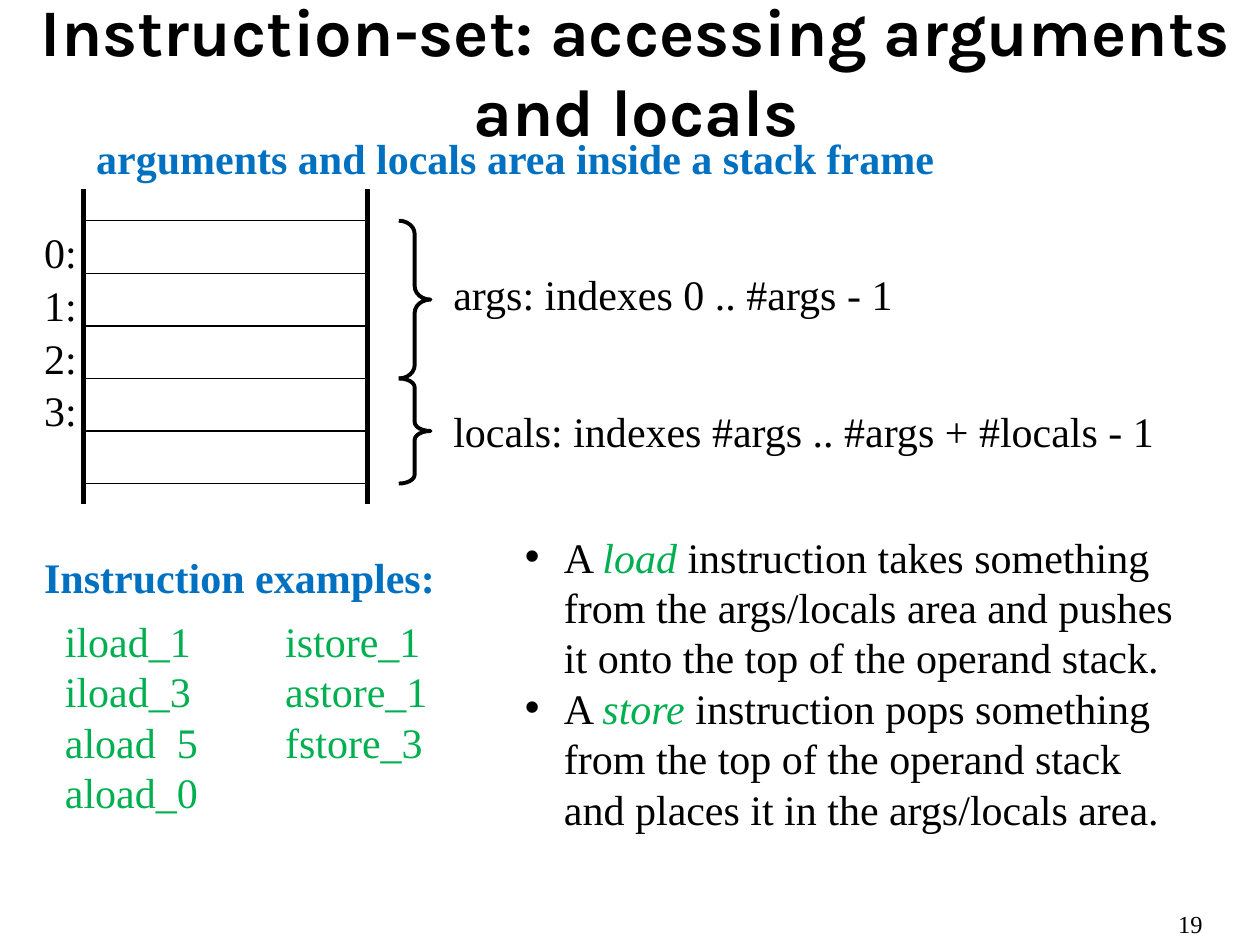
import dataclasses

import lxml.etree
import pptx
import pptx.dml.color
import pptx.enum.shapes
import pptx.enum.text
import pptx.oxml.ns
import pptx.util

Cm = pptx.util.Cm
Pt = pptx.util.Pt
Fit = pptx.enum.text.MSO_AUTO_SIZE


@dataclasses.dataclass(frozen=True)
class Theme:
    ink: str = "000000"
    blue: str = "0070C0"
    green: str = "00B050"
    head_font: str = "Karla"
    font: str = "Times New Roman"
    head_size: int = 38
    size: int = 24
    small: int = 14
    leading: float = 1.2
    thin: float = 0.75
    brace: float = 2.25
    thick: float = 3


def color(code):
    return pptx.dml.color.RGBColor.from_string(code)


def add_node(parent, tag, **attrs):
    node = lxml.etree.SubElement(parent, pptx.oxml.ns.qn(tag))
    for key, value in attrs.items():
        node.set(key, str(value))


def write(frame, lines, *, font, size, ink, accent=None, leading=1.2,
          bold=False, align=None, bullet=False):
    """Fill a frame, one paragraph a line; odd parts of a line split at * are accented."""
    for i, line in enumerate(lines):
        para = frame.paragraphs[0] if i == 0 else frame.add_paragraph()
        para.line_spacing = Pt(size * leading)
        para.alignment = align
        if bullet:
            props = para._p.get_or_add_pPr()
            props.set("marL", str(Cm(0.96)))
            props.set("indent", str(Cm(-0.79)))
            add_node(props, "a:buFont", typeface="Arial")
            add_node(props, "a:buChar", char="•")
        for j, part in enumerate(line.split("*")):
            marked = j % 2 == 1
            run = para.add_run()
            run.text = part
            run.font.name = font
            run.font.size = Pt(size)
            run.font.bold = bold
            run.font.italic = marked
            run.font.color.rgb = color(accent if marked else ink)


class Page:
    """The current slide and the theme its parts are drawn in."""

    def __init__(self, slide, theme):
        self.slide = slide
        self.theme = theme

    def title(self, text, left, top, width, height):
        t = self.theme
        shape = self.slide.shapes.title
        shape.left, shape.top = Cm(left), Cm(top)
        shape.width, shape.height = Cm(width), Cm(height)
        frame = shape.text_frame
        frame.word_wrap = True
        frame.auto_size = Fit.NONE
        frame.vertical_anchor = pptx.enum.text.MSO_ANCHOR.TOP
        frame.margin_top = Cm(0.23)
        write(frame, [text], font=t.head_font, size=t.head_size, ink=t.ink,
              leading=t.leading, bold=True, align=pptx.enum.text.PP_ALIGN.CENTER)

    def text(self, lines, left, top, width, height=1.27, wrap=False, **style):
        t = self.theme
        box = self.slide.shapes.add_textbox(Cm(left), Cm(top), Cm(width), Cm(height))
        box.text_frame.word_wrap = wrap
        box.text_frame.auto_size = Fit.SHAPE_TO_FIT_TEXT
        base = dict(font=t.font, size=t.size, ink=t.ink, accent=t.green, leading=t.leading)
        write(box.text_frame, lines, **(base | style))

    def line(self, x1, y1, x2, y2, weight):
        link = self.slide.shapes.add_connector(
            pptx.enum.shapes.MSO_CONNECTOR.STRAIGHT, Cm(x1), Cm(y1), Cm(x2), Cm(y2))
        link.line.color.rgb = color(self.theme.ink)
        link.line.width = Pt(weight)
        add_node(link._element.spPr, "a:effectLst")

    def brace(self, left, top, width, height, curve):
        shape = self.slide.shapes.add_shape(
            pptx.enum.shapes.MSO_SHAPE.RIGHT_BRACE,
            Cm(left), Cm(top), Cm(width), Cm(height))
        shape.shadow.inherit = False
        shape.fill.background()
        shape.line.color.rgb = color(self.theme.ink)
        shape.line.width = Pt(self.theme.brace)
        shape.adjustments[0] = curve


def draw_frame(page):
    """Draw the stack frame: rails, slots, their numbers and the braces."""
    theme = page.theme
    left, right, top, step = 1.69, 7.41, 4.45, 1.06
    for x in (left, right):
        page.line(x, 3.81, x, 10.16, theme.thick)
    for row in range(6):
        y = top + row * step
        page.line(left, y, right, y, theme.thin)
    for row in range(4):
        page.text([f"{row}:"], 0.64, top + row * step, 1.17)
    args, locs = 3, 2
    page.brace(8.04, top, 0.64, args * step, 0.42)
    page.brace(8.04, top + args * step, 0.64, locs * step, 0.28)
    page.text(["args: indexes 0 .. #args - 1"], 8.89, 5.29, 9.4)
    page.text(["locals: indexes #args .. #args + #locals - 1"], 8.89, 8.04, 14.66)


def main():
    deck = pptx.Presentation()
    deck.slide_width, deck.slide_height = Cm(25.4), Cm(19.05)
    theme = Theme()
    page = Page(deck.slides.add_slide(deck.slide_layouts[5]), theme)

    page.title("Instruction-set: accessing arguments and locals", -0.2, -0.43, 26.04, 2.77)
    page.text(["arguments and locals area inside a stack frame"], 1.69, 2.54, 17.58,
              wrap=True, ink=theme.blue, bold=True)
    draw_frame(page)

    page.text(["Instruction examples:"], 0.64, 11, 8.38, ink=theme.blue, bold=True)
    page.text(["iload_1", "iload_3", "aload  5", "aload_0"], 1.06, 12.28, 3.23, 4.37,
              ink=theme.green)
    page.text(["istore_1", "astore_1", "fstore_3"], 5.5, 12.28, 3.4, 3.33, ink=theme.green)
    page.text(
        ["A *load* instruction takes something from the args/locals area "
         "and pushes it onto the top of the operand stack.",
         "A *store* instruction pops something from the top of the operand stack "
         "and places it in the args/locals area."],
        10.16, 10.58, 13.97, 6.4, wrap=True, bullet=True)
    page.text(["19"], 23.5, 18.2, 1.9, 0.85, wrap=True, size=theme.small)

    deck.save("out.pptx")


if __name__ == "__main__":
    main()
